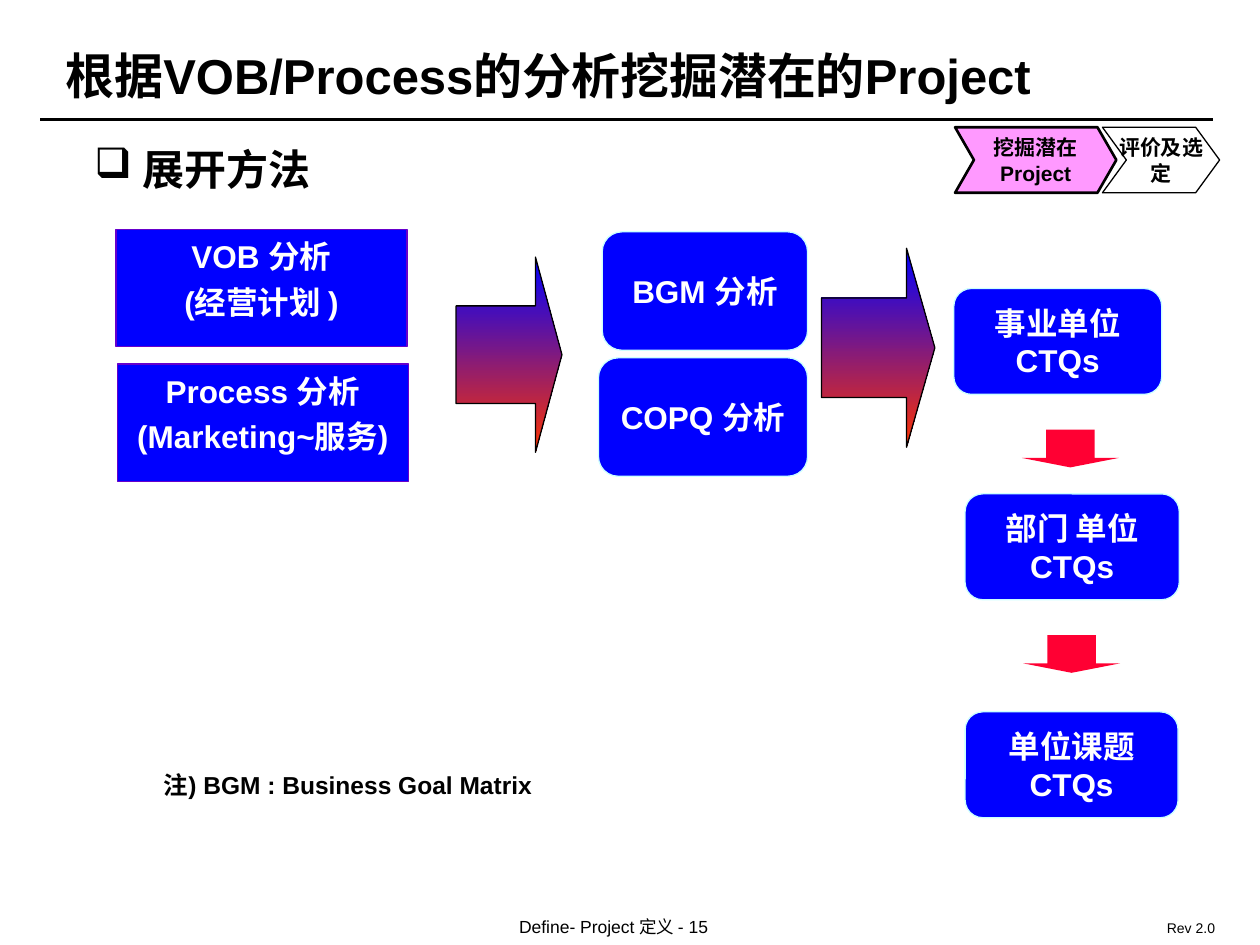
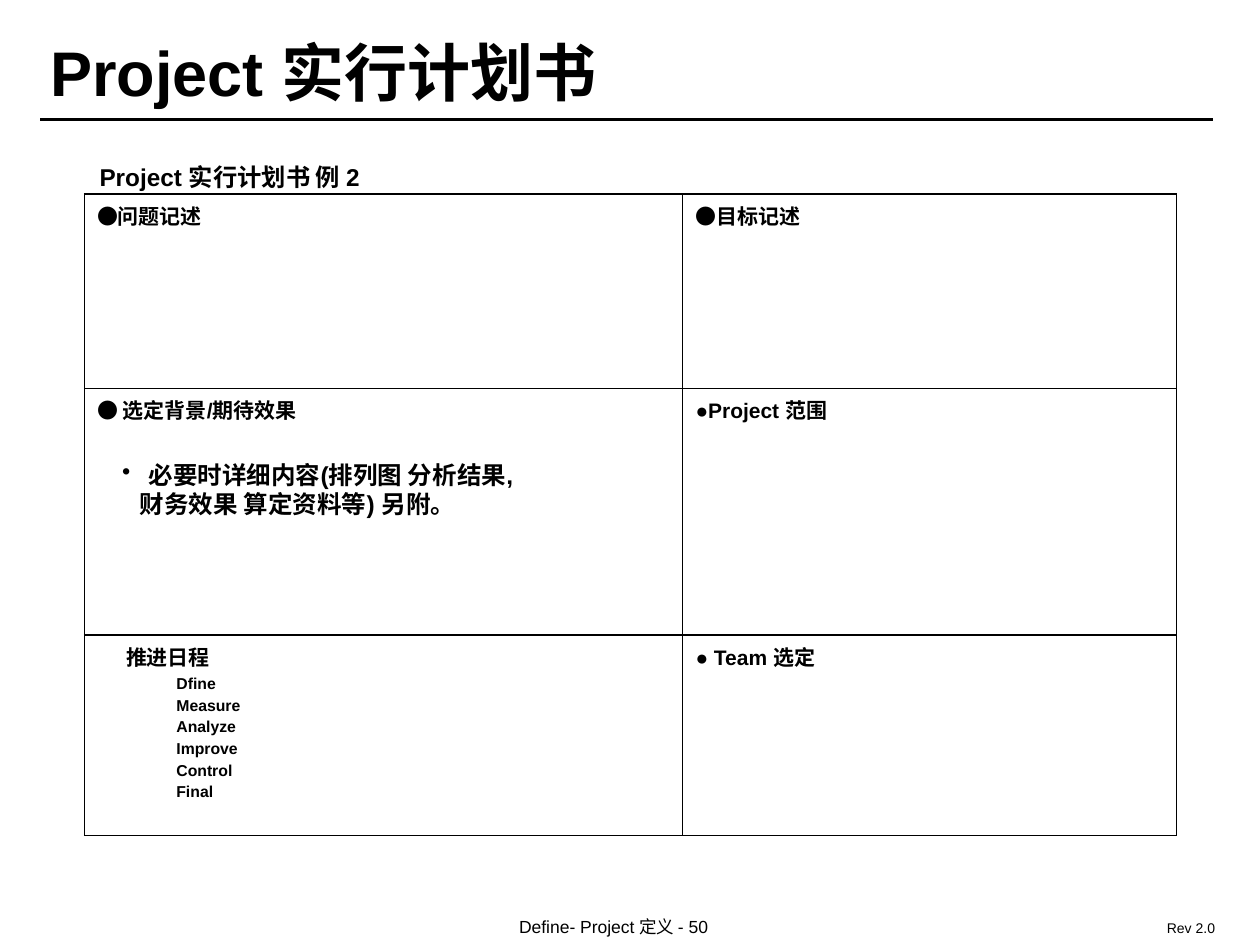
from dataclasses import dataclass, replace

from lxml.etree import SubElement
from pptx import Presentation
from pptx.dml.color import RGBColor
from pptx.enum.shapes import MSO_CONNECTOR, MSO_SHAPE
from pptx.enum.text import MSO_ANCHOR, PP_ALIGN
from pptx.oxml import parse_xml
from pptx.oxml.ns import nsdecls, qn
from pptx.util import Inches, Pt

COLORS = {
    "ink": "000000", "paper": "FFFFFF", "blue": "0000FF", "violet": "6600CC",
    "pale": "CCFFFF", "orange": "FF3300", "red": "FF0033", "pink": "FF99FF",
}
FONT = "Arial"
MARGINS = (0.12, 0.06)


@dataclass
class Line:
    """One paragraph; left and hang are its indents in inches."""
    text: str
    size: float = 12
    color: str = "ink"
    bold: bool = True
    align: PP_ALIGN = PP_ALIGN.LEFT
    before: float = 0
    spacing: float = 1.0
    left: float = 0
    hang: float = 0
    bullet: str = ""
    raised: int = 0


def rgb(name):
    return RGBColor.from_string(COLORS[name])


def inches(values):
    return [Inches(value) for value in values]


def write(frame, lines):
    for number, line in enumerate(lines):
        para = frame.add_paragraph() if number else frame.paragraphs[0]
        span = para.add_run()
        span.text = line.text
        if line.raised:
            span._r.get_or_add_rPr().set("baseline", str(line.raised * 1000))
        para.alignment = line.align
        para.line_spacing = line.spacing
        if number:
            para.space_before = Pt(line.before)
        properties = para._p.get_or_add_pPr()
        properties.set("marL", str(Inches(line.left)))
        properties.set("indent", str(-Inches(line.hang)))
        if line.bullet:
            SubElement(properties, qn("a:buChar")).set("char", line.bullet)
        para.font.name = FONT
        para.font.size = Pt(line.size)
        para.font.bold = line.bold
        para.font.color.rgb = rgb(line.color)


class Builder:
    def __init__(self):
        self.deck = Presentation()
        self.deck.slide_width, self.deck.slide_height = Inches(10), Inches(7.5)
        self.page = None

    def new_page(self, number):
        """Start a slide with the footers and the rule under the title."""
        self.page = self.deck.slides.add_slide(self.deck.slide_layouts[6])
        self.text((4, 7.21, 2.29, 0.29),
                  Line(f"Define- Project 定义 - {number}", 10, bold=False), wrap=False)
        self.text((9.14, 7.24, 0.81, 0.25), Line("Rev 2.0", 8, bold=False))
        rule = self.page.shapes.add_connector(
            MSO_CONNECTOR.STRAIGHT, *inches((0.32, 0.95, 9.63, 0.95)))
        rule.line.color.rgb = rgb("ink")
        rule.line.width = Pt(1.5)
        SubElement(rule._element.spPr, qn("a:effectLst"))

    def fill_frame(self, frame, lines, margins, anchor, wrap):
        frame.word_wrap = wrap
        frame.vertical_anchor = anchor
        frame.margin_left = frame.margin_right = Inches(margins[0])
        frame.margin_top = frame.margin_bottom = Inches(margins[1])
        write(frame, lines)

    def text(self, place, *lines, wrap=True, anchor=MSO_ANCHOR.TOP):
        box = self.page.shapes.add_textbox(*inches(place))
        self.fill_frame(box.text_frame, lines, MARGINS, anchor, wrap)

    def paint(self, shape, fill, line, width=0.75):
        shape.shadow.inherit = False
        if fill:
            shape.fill.solid()
            shape.fill.fore_color.rgb = rgb(fill)
        if line:
            shape.line.color.rgb = rgb(line)
            shape.line.width = Pt(width)
        else:
            shape.line.fill.background()

    def card(self, place, *texts):
        """Square-cornered blue box with lines set from the top."""
        card = self.page.shapes.add_shape(MSO_SHAPE.RECTANGLE, *inches(place))
        self.paint(card, "blue", "violet")
        lines = [Line(text, 18, "paper", align=PP_ALIGN.CENTER, before=4.5) for text in texts]
        self.fill_frame(card.text_frame, lines, MARGINS, MSO_ANCHOR.TOP, False)

    def pill(self, place, text, margins=(0.12, 0.08)):
        """Rounded blue box with centred text."""
        pill = self.page.shapes.add_shape(MSO_SHAPE.ROUNDED_RECTANGLE, *inches(place))
        self.paint(pill, "blue", "pale")
        line = Line(text, 18, "paper", align=PP_ALIGN.CENTER)
        self.fill_frame(pill.text_frame, [line], margins, MSO_ANCHOR.MIDDLE, True)

    def arrow(self, kind, place, fill=None, line=None):
        arrow = self.page.shapes.add_shape(kind, *inches(place))
        arrow.adjustments[0], arrow.adjustments[1] = 0.5, 0.25
        self.paint(arrow, fill, line)
        return arrow

    def gradient_arrow(self, place):
        fill = self.arrow(MSO_SHAPE.RIGHT_ARROW, place, line="ink").fill
        fill.gradient()
        fill.gradient_angle = 270
        for stop, position, color in zip(fill.gradient_stops, (0, 1), ("blue", "orange")):
            stop.position = position
            stop.color.rgb = rgb(color)

    def chevron(self, left, width, point, fill, line_width, side_margin, *texts):
        top, middle, bottom = 1.01, 1.27, 1.53
        right = left + width
        outline = [(right - point, top), (right, middle), (right - point, bottom),
                   (left, bottom), (left + point, middle)]
        freeform = self.page.shapes.build_freeform(Inches(left), Inches(top))
        freeform.add_line_segments([inches(corner) for corner in outline], close=True)
        step = freeform.convert_to_shape()
        self.paint(step, fill, "ink", line_width)
        lines = [Line(text, align=PP_ALIGN.CENTER) for text in texts]
        self.fill_frame(step.text_frame, lines, (side_margin, 0.06), MSO_ANCHOR.MIDDLE, True)

    def table(self, place, widths, heights, rows):
        table = self.page.shapes.add_table(len(rows), len(widths), *inches(place)).table
        table.first_row = table.horz_banding = False
        for column, width in zip(table.columns, widths):
            column.width = Inches(width)
        for row, height, contents in zip(table.rows, heights, rows):
            row.height = Inches(height)
            for cell, lines in zip(row.cells, contents):
                cell.fill.background()
                self.border(cell)
                write(cell.text_frame, lines)

    def border(self, cell):
        properties = cell._tc.get_or_add_tcPr()
        for order, side in enumerate(("lnL", "lnR", "lnT", "lnB")):
            properties.insert(order, parse_xml(
                f'<a:{side} {nsdecls("a")} w="{Pt(0.75)}"><a:solidFill>'
                f'<a:srgbClr val="{COLORS["ink"]}"/></a:solidFill></a:{side}>'))


def build_method_page(builder):
    builder.new_page(15)
    builder.text((0.4, 0.35, 9.31, 0.54),
                 Line("根据VOB/Process的分析挖掘潜在的Project", 28, spacing=0.9))
    builder.text((0.63, 1.08, 1.97, 0.52),
                 Line("展开方法", 24, left=0.38, hang=0.38, bullet="❑"), wrap=False)
    builder.chevron(7.58, 1.28, 0.15, "pink", 1.5, 0, "挖掘潜在", "Project")
    builder.chevron(8.75, 0.93, 0.19, "paper", 0.75, 0.12, "评价及选定")

    builder.card((0.92, 1.82, 2.31, 0.93), "VOB 分析", "(经营计划 )")
    builder.card((0.93, 2.89, 2.31, 0.93), "Process 分析", "(Marketing~服务)")
    builder.gradient_arrow((3.62, 2.04, 0.84, 1.55))
    builder.pill((4.78, 1.84, 1.63, 0.94), "BGM 分析", (0, 0.28))
    builder.pill((4.75, 2.84, 1.66, 0.94), "COPQ 分析", (0, 0.28))
    builder.gradient_arrow((6.52, 1.97, 0.9, 1.58))

    builder.pill((7.57, 2.29, 1.65, 0.84), "事业单位 CTQs")
    builder.pill((7.66, 3.92, 1.7, 0.84), "部门 单位 CTQs")
    builder.pill((7.66, 5.65, 1.69, 0.84), "单位课题 CTQs")
    for left, top in ((8.11, 3.41), (8.12, 5.04)):
        builder.arrow(MSO_SHAPE.DOWN_ARROW, (left, top, 0.77, 0.3), "red")

    builder.text((1.18, 6.05, 3.22, 0.36),
                 Line("注) BGM : Business Goal Matrix", 14), wrap=False)


def build_plan_page(builder):
    builder.new_page(50)
    builder.text((0.28, 0.21, 4.7, 0.72), Line("Project 实行计划书", 36), wrap=False)
    builder.text((0.67, 0.99, 3.82, 0.72),
                 Line("Project 实行计划书 例 2", 24, spacing=1.5, raised=30),
                 anchor=MSO_ANCHOR.MIDDLE)

    phase = Line("", 9, before=2.2, left=0.63)
    phases = ("Dfine", "Measure", "Analyze", "Improve", "Control", "Final")
    schedule = [Line("推进日程", left=0.23)] + [replace(phase, text=name) for name in phases]
    builder.table((0.67, 1.54, 8.67, 5.09), (4.75, 3.92), (1.54, 1.96, 1.59), [
        ([Line("●问题记述")], [Line("●目标记述")]),
        ([Line("● 选定背景/期待效果")], [Line("●Project 范围")]),
        (schedule, [Line("● Team 选定")]),
    ])
    builder.text((0.85, 3.59, 4.34, 0.59),
                 Line("必要时详细内容(排列图 分析结果,", 14, left=0.21, hang=0.21, bullet="•"),
                 Line("财务效果 算定资料等) 另附。", 14, left=0.14))


def main():
    builder = Builder()
    build_method_page(builder)
    build_plan_page(builder)
    builder.deck.save("out.pptx")


if __name__ == "__main__":
    main()
